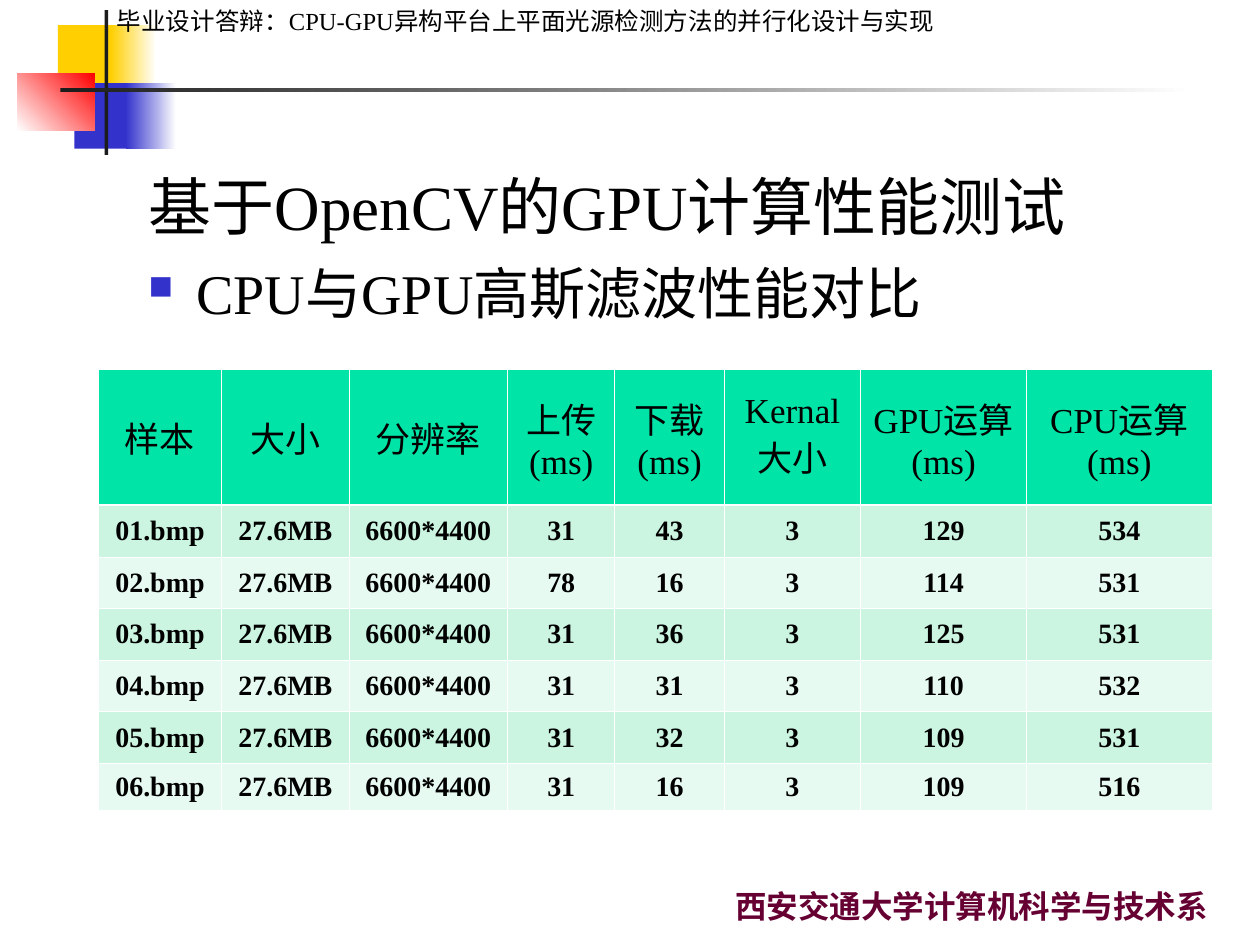
from dataclasses import dataclass

from lxml import etree
from pptx import Presentation
from pptx import util as u
from pptx.dml.color import RGBColor
from pptx.enum import shapes, text
from pptx.oxml import ns


@dataclass(frozen=True)
class Theme:
    latin: str = "Times New Roman"
    cjk: str = "Noto Sans CJK SC"
    ink: str = "000000"
    white: str = "FFFFFF"
    yellow: str = "FFCF01"
    blue: str = "3333CC"
    red: str = "FF0000"
    rule: str = "1C1C1C"
    footer: str = "660033"
    head_fill: str = "00E4A8"
    bands: tuple = ("CBF5E1", "E7FAF1")
    title_pt: int = 36
    bullet_pt: int = 32
    head_pt: int = 20
    cell_pt: int = 16
    header_pt: int = 14
    footer_pt: int = 18
    thin_pt: float = 0.45
    thick_pt: float = 1.47


T = Theme()

# left, top, width, height, colours (two make a gradient), angle
DECORATION = [
    (0.46, 0.2, 0.48, 0.52, (T.yellow,), 0),
    (0.88, 0.2, 0.36, 0.52, (T.yellow, T.white), 0),
    (0.59, 0.66, 0.46, 0.52, (T.blue,), 0),
    (1, 0.66, 0.4, 0.52, (T.blue, T.white), 0),
    (0.14, 0.58, 0.61, 0.46, (T.white, T.red), 45),
    (0.83, 0.08, 0.03, 1.15, (T.rule,), 0),
    (0.48, 0.7, 9, 0.03, (T.rule, T.white), 0),
]

COLUMNS = [
    ("样本", 0.98), ("大小", 1.01), ("分辨率", 1.26), ("上传\n(ms)", 0.85),
    ("下载\n(ms)", 0.87), ("Kernal\n大小", 1.08), ("GPU运算(ms)", 1.32),
    ("CPU运算\n(ms)", 1.47),
]
ROW_HEIGHTS = [1.08] + [0.41] * 5 + [0.37]
# upload, download, GPU and CPU times in ms
TIMINGS = [
    (31, 43, 129, 534),
    (78, 16, 114, 531),
    (31, 36, 125, 531),
    (31, 31, 110, 532),
    (31, 32, 109, 531),
    (31, 16, 109, 516),
]


def rgb(value):
    return RGBColor.from_string(value)


def box(left, top, width, height):
    return [u.Inches(v) for v in (left, top, width, height)]


def add_run(p, words, size, color=T.ink, bold=False, latin=T.latin):
    r = p.add_run()
    r.text = words
    r.font.size = u.Pt(size)
    r.font.bold = bold
    r.font.color.rgb = rgb(color)
    r.font.name = latin
    ea = etree.SubElement(r.font._element, ns.qn("a:ea"))
    ea.set("typeface", T.cjk)
    return r


def set_frame(tf, anchor):
    tf.word_wrap = True
    tf.auto_size = text.MSO_AUTO_SIZE.NONE
    tf.vertical_anchor = anchor
    return tf.paragraphs[0]


def add_text_box(s, place, anchor=text.MSO_ANCHOR.TOP):
    """Add a text box and return its first paragraph."""
    return set_frame(s.shapes.add_textbox(*box(*place)).text_frame, anchor)


def add_block(s, left, top, width, height, colors, angle):
    sp = s.shapes.add_shape(shapes.MSO_SHAPE.RECTANGLE,
                            *box(left, top, width, height))
    sp.shadow.inherit = False
    sp.line.fill.background()
    if len(colors) == 1:
        sp.fill.solid()
        sp.fill.fore_color.rgb = rgb(colors[0])
        return
    sp.fill.gradient()
    sp.fill.gradient_angle = angle
    for stop, color, position in zip(sp.fill.gradient_stops, colors, (0, 1)):
        stop.color.rgb = rgb(color)
        stop.position = position


def add_title(s):
    title = s.shapes.title
    title.left, title.top, title.width, title.height = box(1.08, 1.33, 8.52, 0.65)
    p = set_frame(title.text_frame, text.MSO_ANCHOR.BOTTOM)
    p.alignment = text.PP_ALIGN.LEFT
    add_run(p, "基于OpenCV的GPU计算性能测试", T.title_pt)


def add_bullet(s):
    p = add_text_box(s, (1.08, 2, 8.02, 0.62))
    pPr = p._p.get_or_add_pPr()
    pPr.set("marL", str(u.Inches(0.38)))
    pPr.set("indent", str(u.Inches(-0.38)))
    color = etree.SubElement(pPr, ns.qn("a:buClr"))
    etree.SubElement(color, ns.qn("a:srgbClr")).set("val", T.blue)
    etree.SubElement(pPr, ns.qn("a:buSzPct")).set("val", "60000")
    etree.SubElement(pPr, ns.qn("a:buChar")).set("char", "■")
    add_run(p, "CPU与GPU", T.bullet_pt)
    add_run(p, "高斯滤波性能对比", T.bullet_pt, latin=T.cjk)


def set_borders(cell, top, bottom):
    """Draw white borders; they must stand before the fill in the cell."""
    tcPr = cell._tc.get_or_add_tcPr()
    widths = {"lnL": T.thin_pt, "lnR": T.thin_pt, "lnT": top, "lnB": bottom}
    for i, (tag, width) in enumerate(widths.items()):
        ln = etree.Element(ns.qn("a:" + tag), w=str(u.Pt(width)))
        fill = etree.SubElement(ln, ns.qn("a:solidFill"))
        etree.SubElement(fill, ns.qn("a:srgbClr")).set("val", T.white)
        tcPr.insert(i, ln)


def fill_cell(cell, words, row):
    is_head = row == 0
    cell.vertical_anchor = text.MSO_ANCHOR.MIDDLE
    cell.fill.solid()
    cell.fill.fore_color.rgb = rgb(T.head_fill if is_head else T.bands[(row - 1) % 2])
    set_borders(cell, T.thick_pt if row == 1 else T.thin_pt,
                T.thick_pt if is_head else T.thin_pt)
    tf = cell.text_frame
    for i, line in enumerate(words.split("\n")):
        p = tf.add_paragraph() if i else tf.paragraphs[0]
        p.alignment = text.PP_ALIGN.CENTER
        add_run(p, line, T.head_pt if is_head else T.cell_pt, bold=not is_head)


def add_timing_table(s):
    rows = [[name for name, _ in COLUMNS]]
    for n, (upload, download, gpu, cpu) in enumerate(TIMINGS, 1):
        rows.append([f"{n:02}.bmp", "27.6MB", "6600*4400",
                     upload, download, 3, gpu, cpu])
    table = s.shapes.add_table(len(rows), len(COLUMNS),
                               *box(0.78, 2.93, 8.83, 3.51)).table
    for column, (_, width) in zip(table.columns, COLUMNS):
        column.width = u.Inches(width)
    for i, (row, height) in enumerate(zip(rows, ROW_HEIGHTS)):
        table.rows[i].height = u.Inches(height)
        for j, value in enumerate(row):
            fill_cell(table.cell(i, j), str(value), i)


def add_header_and_footer(s):
    p = add_text_box(s, (0.83, 0, 7.07, 0.34))
    add_run(p, "毕业设计答辩：CPU-GPU异构平台上平面光源检测方法的并行化设计与实现",
            T.header_pt)
    p = add_text_box(s, (5.17, 7.12, 5.08, 0.25), text.MSO_ANCHOR.MIDDLE)
    p.alignment = text.PP_ALIGN.CENTER
    p.line_spacing = 0.5
    add_run(p, "西安交通大学计算机科学与技术系", T.footer_pt, T.footer,
            bold=True, latin=T.cjk)


def main():
    prs = Presentation()
    prs.slide_width, prs.slide_height = u.Inches(10), u.Inches(7.5)
    s = prs.slides.add_slide(prs.slide_layouts[5])
    for block in DECORATION:
        add_block(s, *block)
    add_header_and_footer(s)
    add_title(s)
    add_timing_table(s)
    add_bullet(s)
    prs.save("out.pptx")


if __name__ == "__main__":
    main()
